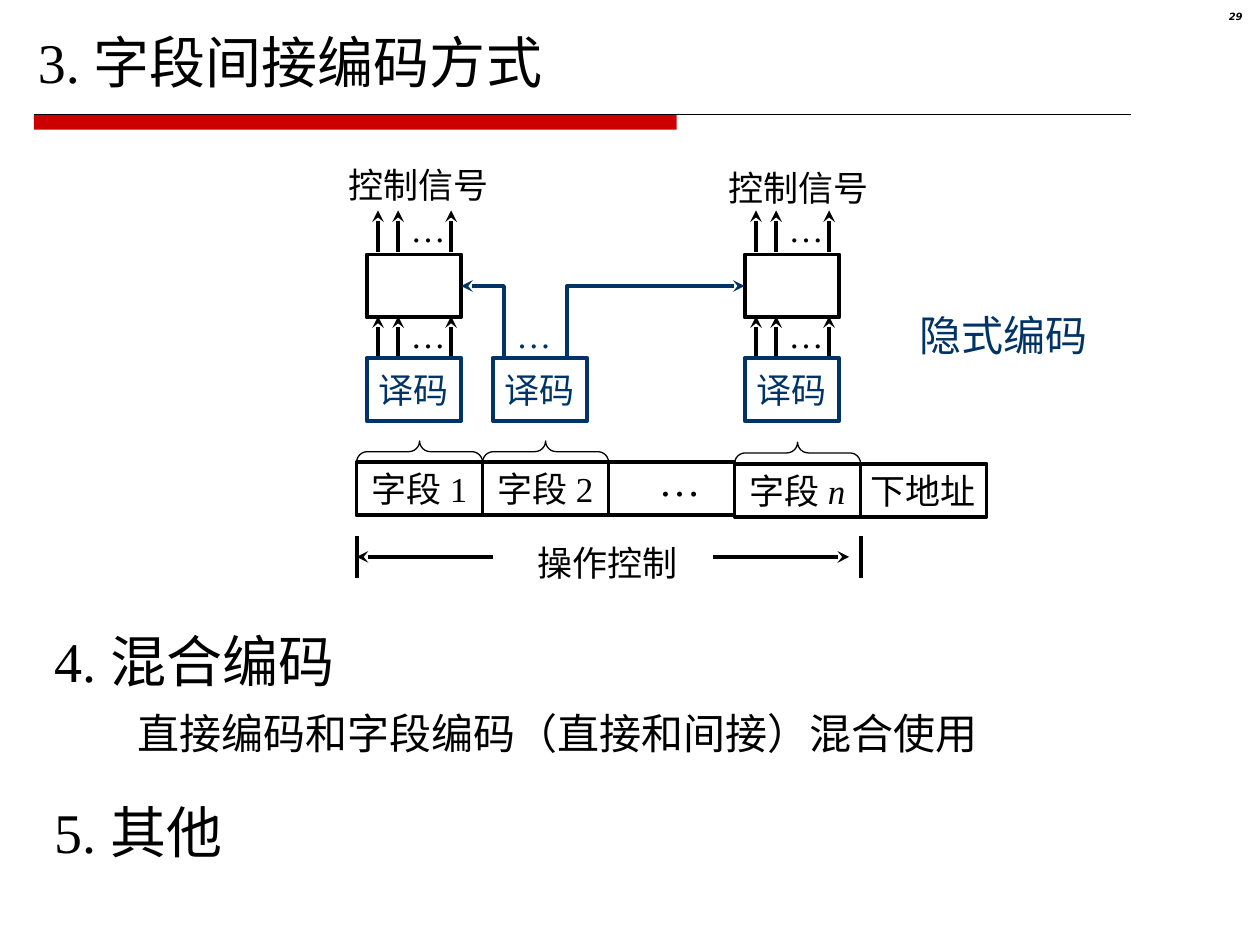
from dataclasses import dataclass

from pptx import Presentation
from pptx.dml.color import RGBColor
from pptx.enum.shapes import MSO_CONNECTOR as Link, MSO_SHAPE as Preset
from pptx.enum.text import MSO_ANCHOR as Anchor, MSO_AUTO_SIZE as AutoSize, PP_ALIGN as Align
from pptx.oxml.ns import qn
from pptx.util import Inches, Pt
from lxml.etree import SubElement


@dataclass(frozen=True)
class Theme:
    ink: RGBColor = RGBColor(0, 0, 0)
    navy: RGBColor = RGBColor(0x00, 0x33, 0x66)
    red: RGBColor = RGBColor(0xCC, 0x00, 0x00)
    serif: str = "Times New Roman"
    sans: str = "DejaVu Sans"
    heading: float = 32
    detail: float = 24
    label: float = 20
    number: float = 5.7
    thick: float = 2.25
    thin: float = 0.75


class Board:
    def __init__(self, page, theme):
        self.page = page
        self.theme = theme

    def style(self, span, size, color, font):
        span.font.size = Pt(size)
        span.font.name = font
        span.font.color.rgb = color

    def stroke(self, line, color, width, arrow=False):
        line.color.rgb = color
        line.width = Pt(width)
        if arrow:
            properties = line._get_or_add_ln()
            SubElement(properties, qn("a:tailEnd"), type="stealth")

    def heading(self, box, left, top, width, number, words):
        box.left, box.top = Inches(left), Inches(top)
        box.width, box.height = Inches(width), Inches(0.64)
        frame = box.text_frame
        frame.word_wrap = True
        frame.auto_size = AutoSize.NONE
        frame.vertical_anchor = Anchor.TOP
        para = frame.paragraphs[0]
        properties = para._p.get_or_add_pPr()
        properties.set("marL", "0")
        properties.set("indent", "0")
        SubElement(properties, qn("a:buNone"))
        para.alignment = Align.LEFT
        para.space_before = Pt(0)
        for words_part, font in ((number, self.theme.serif), (words, self.theme.sans)):
            span = para.add_run()
            span.text = words_part
            self.style(span, self.theme.heading, self.theme.ink, font)

    def text(self, left, top, width, height, words, size=None, color=None, font=None, wrap=False):
        box = self.page.shapes.add_textbox(Inches(left), Inches(top), Inches(width), Inches(height))
        frame = box.text_frame
        frame.text = words
        frame.word_wrap = wrap
        para = frame.paragraphs[0]
        self.style(para.runs[0], size or self.theme.label, color or self.theme.ink, font or self.theme.serif)
        return para

    def cell(self, left, top, width, height, words=(), color=None):
        color = color or self.theme.ink
        box = self.page.shapes.add_shape(
            Preset.RECTANGLE, Inches(left), Inches(top), Inches(width), Inches(height))
        box.shadow.inherit = False
        box.fill.background()
        self.stroke(box.line, color, self.theme.thick)
        frame = box.text_frame
        frame.word_wrap = False
        frame.vertical_anchor = Anchor.MIDDLE
        para = frame.paragraphs[0]
        para.alignment = Align.CENTER
        for word in words:
            span = para.add_run()
            span.text = word
            self.style(span, self.theme.label, color, self.theme.serif)
        return para

    def brace(self, center, top):
        width, height = 0.17, 1
        box = self.page.shapes.add_shape(
            Preset.LEFT_BRACE, Inches(center - width / 2), Inches(top + (width - height) / 2),
            Inches(width), Inches(height))
        box.rotation = 90
        box.adjustments[0] = 0.5
        box.shadow.inherit = False
        box.fill.background()
        self.stroke(box.line, self.theme.ink, self.theme.thin)

    def line(self, x1, y1, x2, y2, width=None, arrow=False):
        link = self.page.shapes.add_connector(
            Link.STRAIGHT, Inches(x1), Inches(y1), Inches(x2), Inches(y2))
        self.stroke(link.line, self.theme.ink, width or self.theme.thick, arrow)
        SubElement(link._element.spPr, qn("a:effectLst"))

    def elbow(self, x1, y1, x2, y2):
        builder = self.page.shapes.build_freeform(Inches(x1), Inches(y1))
        builder.add_line_segments(
            [(Inches(x1), Inches(y2)), (Inches(x2), Inches(y2))], close=False)
        path = builder.convert_to_shape()
        path.shadow.inherit = False
        path.fill.background()
        self.stroke(path.line, self.theme.navy, self.theme.thick, arrow=True)

    def signals(self, left, bottom):
        for offset in (0, 0.16, 0.58):
            self.line(left + offset, bottom, left + offset, bottom - 0.33, arrow=True)
        self.text(left + 0.16, bottom - 0.4, 0.48, 0.44, "…")

    def rule(self):
        bar = self.page.shapes.add_shape(
            Preset.RECTANGLE, Inches(0.27), Inches(0.91), Inches(5.1), Inches(0.12))
        bar.shadow.inherit = False
        bar.fill.solid()
        bar.fill.fore_color.rgb = self.theme.red
        bar.line.fill.background()
        self.line(0.27, 0.91, 8.98, 0.91, self.theme.thin)


def main():
    theme = Theme()
    deck = Presentation()
    deck.slide_width, deck.slide_height = Inches(10), Inches(7.5)
    page = deck.slides.add_slide(deck.slide_layouts[3])
    board = Board(page, theme)
    title, mixed, other = list(page.placeholders)[:3]

    board.rule()
    number = board.text(9.37, 0.05, 0.59, 0.23, "29", theme.number, font=theme.sans, wrap=True)
    number.alignment = Align.RIGHT
    number.line_spacing = 0.8
    number.runs[0].font.bold = True
    number.runs[0].font.italic = True

    board.heading(title, 0.2, 0.17, 8.58, "3. ", "字段间接编码方式")
    board.heading(mixed, 0.33, 4.92, 7.32, "4. ", "混合编码")
    board.heading(other, 0.33, 6.28, 6.06, "5. ", "其他")
    board.text(0.99, 5.57, 8.35, 0.5, "直接编码和字段编码（直接和间接）混合使用",
               theme.detail, font=theme.sans, wrap=True)

    for left, label_left, label_top in ((2.91, 2.67, 1.25), (5.91, 5.68, 1.27)):
        board.text(label_left, label_top, 1.31, 0.44, "控制信号")
        board.cell(left, 2.02, 0.75, 0.5)
        for bottom in (2, 2.84):
            board.signals(left + 0.09, bottom)
    for left in (2.91, 3.91, 5.91):
        board.cell(left, 2.84, 0.75, 0.5, ["译码"], theme.navy)
    board.elbow(4, 2.85, 3.66, 2.27)
    board.elbow(4.5, 2.85, 5.91, 2.27)
    board.text(4, 2.44, 0.48, 0.44, "…", color=theme.navy)

    fields = (
        (3.67, ["字段 1"], True),
        (3.67, ["字段 2"], True),
        (3.67, [], False),
        (3.68, ["字段 ", "n"], True),
        (3.68, ["下地址"], False),
    )
    for column, (top, words, braced) in enumerate(fields):
        left = 2.83 + column
        para = board.cell(left, top, 1, 0.42, words)
        if len(words) > 1:
            para.runs[-1].font.italic = True
        if braced:
            board.brace(left + 0.5, top - 0.17)
    board.text(5.13, 3.56, 0.53, 0.5, "…", theme.detail)

    for edge in (2.83, 6.83):
        board.line(edge, 4.25, edge, 4.59)
    for start, end in ((3.91, 2.83), (5.66, 6.74)):
        board.line(start, 4.42, end, 4.42, arrow=True)
    board.text(4.17, 4.25, 1.31, 0.44, "操作控制")
    board.text(7.2, 2.41, 2.36, 0.5, "隐式编码", theme.detail, theme.navy, wrap=True)

    deck.save("out.pptx")


if __name__ == "__main__":
    main()
